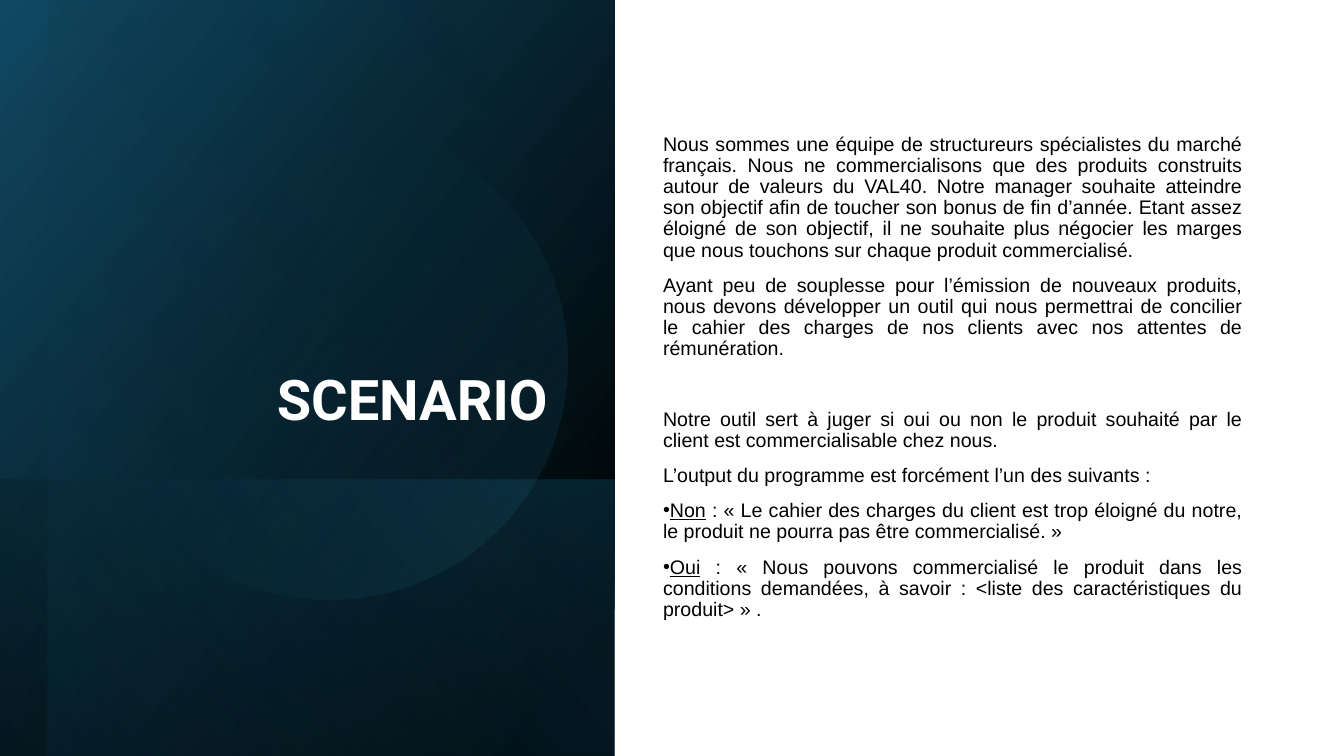
from dataclasses import dataclass

from lxml.etree import SubElement
from pptx import Presentation
from pptx.dml.color import RGBColor as Rgb
from pptx.enum.shapes import MSO_SHAPE as Preset
from pptx.enum.text import MSO_ANCHOR as Anchor, PP_ALIGN as Align
from pptx.oxml.ns import qn
from pptx.util import Cm, Pt


@dataclass(frozen=True)
class Theme:
    black: str = "000000"
    white: str = "FFFFFF"
    navy: str = "104862"
    teal: str = "156082"
    sky: str = "46B1E1"
    title_font: str = "Roboto"
    body_font: str = "Arial"
    title_size: int = 40
    body_size: int = 14
    line_spacing: float = 0.9
    gap: int = 10
    section_gap: int = 35


THEME = Theme()
SLIDE_WIDTH, SLIDE_HEIGHT = 33.87, 19.05
PANEL_WIDTH = 15.49

INTRODUCTION = [
    "Nous sommes une équipe de structureurs spécialistes du marché français. "
    "Nous ne commercialisons que des produits construits autour de valeurs du VAL40. "
    "Notre manager souhaite atteindre son objectif afin de toucher son bonus de fin d’année. "
    "Etant assez éloigné de son objectif, il ne souhaite plus négocier les marges "
    "que nous touchons sur chaque produit commercialisé.",
    "Ayant peu de souplesse pour l’émission de nouveaux produits, nous devons développer "
    "un outil qui nous permettrai de concilier le cahier des charges de nos clients "
    "avec nos attentes de rémunération.",
]
TOOL = [
    "Notre outil sert à juger si oui ou non le produit souhaité par le client "
    "est commercialisable chez nous.",
    "L’output du programme est forcément l’un des suivants :",
]
ANSWERS = [
    ("Non", " : « Le cahier des charges du client est trop éloigné du notre, "
            "le produit ne pourra pas être commercialisé. »"),
    ("Oui", " : « Nous pouvons commercialisé le produit dans les conditions demandées, "
            "à savoir : <liste des caractéristiques du produit> » ."),
]


def fill_gradient(shape, stops, angle):
    """Fill with two (position %, colour, opacity %) stops at a clockwise angle."""
    shape.fill.gradient()
    shape.fill.gradient_angle = 360 - angle
    for stop, (position, colour, _) in zip(shape.fill.gradient_stops, stops):
        stop.position = position / 100
        stop.color.rgb = Rgb.from_string(colour)
    marks = shape._element.spPr.iter(qn("a:srgbClr"))
    for mark, (_, _, opacity) in zip(marks, stops):
        if opacity < 100:
            SubElement(mark, qn("a:alpha")).set("val", str(opacity * 1000))


def add_glow(slide, preset, box, rotation, stops, angle):
    glow = slide.shapes.add_shape(preset, *map(Cm, box))
    glow.rotation = rotation
    glow.shadow.inherit = False
    glow.line.fill.background()
    fill_gradient(glow, stops, angle)
    return glow


def add_panel(slide, left, top, width, height, stops, angle):
    """Add a mirrored quarter-turned rectangle that covers the given area."""
    shift = (width - height) / 2
    box = left + shift, top - shift, height, width
    panel = add_glow(slide, Preset.RECTANGLE, box, 90, stops, angle)
    panel._element.spPr.xfrm.set("flipH", "1")


def add_text_frame(slide, box, anchor):
    frame = slide.shapes.add_textbox(*map(Cm, box)).text_frame
    frame.word_wrap = True
    frame.vertical_anchor = anchor
    return frame


def style_paragraph(paragraph, font, size, colour, align):
    paragraph.font.name = font
    paragraph.font.size = Pt(size)
    paragraph.font.color.rgb = Rgb.from_string(colour)
    paragraph.alignment = align
    paragraph.line_spacing = THEME.line_spacing


def add_title(slide, text):
    frame = add_text_frame(slide, (2.29, 1.63, 11.76, 9.4), Anchor.BOTTOM)
    title = frame.paragraphs[0]
    title.text = text
    style_paragraph(title, THEME.title_font, THEME.title_size, THEME.white, Align.RIGHT)
    title.font.bold = True


def add_bullet(paragraph):
    properties = paragraph._p.get_or_add_pPr()
    properties.set("marL", "0")
    properties.set("indent", str(-Cm(0.64)))
    text_defaults = properties.find(qn("a:defRPr"))
    for tag, key, value in (("a:buFont", "typeface", THEME.body_font),
                            ("a:buChar", "char", "•")):
        text_defaults.addprevious(properties.makeelement(qn(tag), {key: value}))


def add_story(slide):
    frame = add_text_frame(slide, (16.46, 1.8, 15.11, 15.42), Anchor.MIDDLE)
    entries = [("", text) for text in INTRODUCTION + TOOL] + ANSWERS
    for index, (answer, text) in enumerate(entries):
        paragraph = frame.add_paragraph() if index else frame.paragraphs[0]
        style_paragraph(paragraph, THEME.body_font, THEME.body_size, THEME.black, Align.JUSTIFY)
        starts_tool = index == len(INTRODUCTION)
        paragraph.space_before = Pt(THEME.section_gap if starts_tool else THEME.gap)
        if answer:
            add_bullet(paragraph)
            label = paragraph.add_run()
            label.text = answer
            label.font.underline = True
        paragraph.add_run().text = text


def main():
    deck = Presentation()
    deck.slide_width, deck.slide_height = Cm(SLIDE_WIDTH), Cm(SLIDE_HEIGHT)
    slide = deck.slides.add_slide(deck.slide_layouts[6])

    add_panel(slide, 0, 0, PANEL_WIDTH, SLIDE_HEIGHT,
              [(8, THEME.black, 100), (100, THEME.navy, 100)], 50)
    add_panel(slide, 0, 12.09, PANEL_WIDTH, 6.96,
              [(2, THEME.teal, 29), (100, THEME.black, 30)], 130)
    add_panel(slide, 1.2, 0, 14.29, SLIDE_HEIGHT,
              [(0, THEME.black, 0), (99, THEME.teal, 11)], 130)
    add_glow(slide, Preset.OVAL, (2.29, 3.12, 12, 12), 101.6,
             [(39, THEME.teal, 0), (100, THEME.sky, 15)], 290)

    add_title(slide, "SCENARIO")
    add_story(slide)
    deck.save("out.pptx")


if __name__ == "__main__":
    main()
